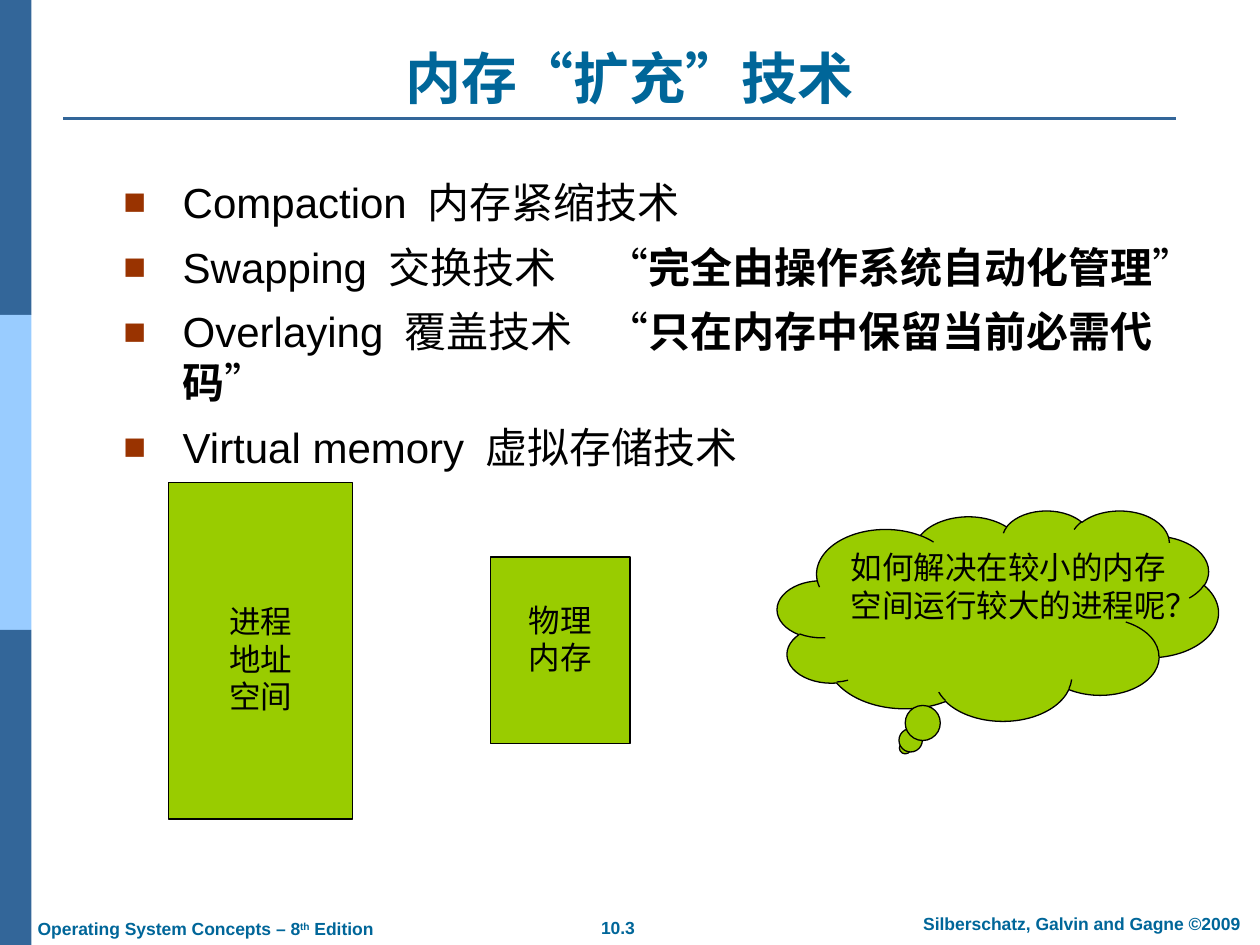
"""Build the slide on techniques for extending memory."""
from lxml.etree import SubElement
from pptx import Presentation
from pptx.dml.color import RGBColor
from pptx.enum.shapes import MSO_CONNECTOR, MSO_SHAPE
from pptx.enum.text import MSO_ANCHOR, MSO_AUTO_SIZE, PP_ALIGN
from pptx.oxml.ns import qn
from pptx.util import Inches, Pt

NAVY = RGBColor(0x33, 0x66, 0x99)
SKY = RGBColor(0x99, 0xCC, 0xFF)
TEAL = RGBColor(0x00, 0x66, 0x99)
LIME = RGBColor(0x99, 0xCC, 0x00)
RUST = RGBColor(0x99, 0x33, 0x00)
BLACK = RGBColor(0, 0, 0)
LATIN, CHINESE = "Arial", "Noto Sans CJK SC"


def add_run(paragraph, text, size, color=BLACK, name=CHINESE, bold=False):
    run = paragraph.add_run()
    run.text = text
    formats = {"size": Pt(size), "name": name, "bold": bold}
    for attribute, value in formats.items():
        setattr(run.font, attribute, value)
    run.font.color.rgb = color
    SubElement(run.font._element, qn("a:ea"), typeface=CHINESE)
    return run


def place(shape, left, top, width, height):
    bounds = {"left": left, "top": top, "width": width, "height": height}
    for attribute, value in bounds.items():
        setattr(shape, attribute, Inches(value))


presentation = Presentation()
presentation.slide_width = Inches(10)
presentation.slide_height = Inches(7.5)
slide = presentation.slides.add_slide(presentation.slide_layouts[1])
shapes = slide.shapes

for index, color in enumerate([NAVY, SKY, NAVY]):
    band = shapes.add_shape(MSO_SHAPE.RECTANGLE, 0, Inches(2.5 * index), Inches(0.25), Inches(2.5))
    band.shadow.inherit = False
    band.fill.solid()
    band.fill.fore_color.rgb = color
    band.line.fill.background()

title_rule = shapes.add_connector(
    MSO_CONNECTOR.STRAIGHT, Inches(0.5), Inches(0.94), Inches(9.33), Inches(0.94))
title_rule.line.color.rgb = NAVY
title_rule.line.width = Pt(1.5)
SubElement(title_rule._element.spPr, qn("a:effectLst"))

footers = [
    (4.62, 7.23, 0.57, PP_ALIGN.CENTER, ["10.3"]),
    (7.1, 7.2, 2.97, PP_ALIGN.CENTER, ["Silberschatz, Galvin and Gagne ©2009"]),
    (0.2, 7.24, 2.91, PP_ALIGN.LEFT, ["Operating System Concepts – 8", "th", " Edition"]),
]
for left, top, width, alignment, texts in footers:
    footer = shapes.add_textbox(Inches(left), Inches(top), Inches(width), Inches(0.27))
    paragraph = footer.text_frame.paragraphs[0]
    paragraph.alignment = alignment
    for text in texts:
        run = add_run(paragraph, text, 10, TEAL, LATIN, True)
        if text == "th":
            run.font._element.set("baseline", "30000")

title = shapes.title
place(title, 0.5, 0.3, 9, 0.63)
title.text_frame.auto_size = MSO_AUTO_SIZE.NONE
title.text_frame.vertical_anchor = MSO_ANCHOR.BOTTOM
paragraph = title.text_frame.paragraphs[0]
paragraph.alignment = PP_ALIGN.CENTER
paragraph.line_spacing = Pt(38)
add_run(paragraph, "内存“扩充”技术", 32, TEAL, CHINESE, True)

techniques = [
    ("Compaction", "内存紧缩技术", ""),
    ("Swapping", "交换技术", "完全由操作系统自动化管理"),
    ("Overlaying", "覆盖技术", "只在内存中保留当前必需代码"),
    ("Virtual memory", "虚拟存储技术", ""),
]
body = slide.placeholders[1]
place(body, 0.88, 1.35, 9, 4.95)
frame = body.text_frame
frame.auto_size = MSO_AUTO_SIZE.NONE
for index, (english, chinese, remark) in enumerate(techniques):
    paragraph = frame.add_paragraph() if index else frame.paragraphs[0]
    paragraph.line_spacing = Pt(28.7)
    paragraph.space_before = Pt(8.4 if index else 0)
    properties = paragraph._p.get_or_add_pPr()
    properties.set("marL", str(Inches(0.47)))
    properties.set("indent", str(-Inches(0.47)))
    bullet_color = SubElement(properties, qn("a:buClr"))
    SubElement(bullet_color, qn("a:srgbClr"), val=str(RUST))
    SubElement(properties, qn("a:buSzPct"), val="90000")
    SubElement(properties, qn("a:buFont"), typeface=LATIN)
    SubElement(properties, qn("a:buChar"), char="■")
    add_run(paragraph, english + " ", 24, name=LATIN)
    add_run(paragraph, " " + chinese, 24)
    if remark:
        tabs = SubElement(properties, qn("a:tabLst"))
        SubElement(tabs, qn("a:tab"), pos=str(Inches(3.83)), algn="l")
        add_run(paragraph, "\t“", 24)
        add_run(paragraph, remark, 24, name=LATIN, bold=True)
        add_run(paragraph, "”", 24)

figures = [
    (MSO_SHAPE.CLOUD_CALLOUT, 6.17, 4.05, 3.5, 1.67, 0.05, PP_ALIGN.LEFT,
     ["如何解决在较小的内存", "空间运行较大的进程呢？"]),
    (MSO_SHAPE.RECTANGLE, 1.34, 3.83, 1.46, 2.67, 0.95, PP_ALIGN.CENTER,
     ["进程", "地址", "空间"]),
    (MSO_SHAPE.RECTANGLE, 3.89, 4.42, 1.11, 1.48, 0.35, PP_ALIGN.CENTER,
     ["物理", "内存"]),
]
for kind, left, top, width, height, inset, alignment, lines in figures:
    shape = shapes.add_shape(kind, Inches(left), Inches(top), Inches(width), Inches(height))
    shape.shadow.inherit = False
    shape.fill.solid()
    shape.fill.fore_color.rgb = LIME
    shape.line.color.rgb = BLACK
    shape.line.width = Pt(0.75)
    if kind == MSO_SHAPE.CLOUD_CALLOUT:
        shape.adjustments[0] = -0.21
        shape.adjustments[1] = 0.63
    frame = shape.text_frame
    frame.word_wrap = False
    frame.vertical_anchor = MSO_ANCHOR.TOP
    frame.margin_top = Inches(inset)
    for index, line in enumerate(lines):
        paragraph = frame.add_paragraph() if index else frame.paragraphs[0]
        paragraph.alignment = alignment
        paragraph.line_spacing = Pt(21.5)
        add_run(paragraph, line, 18)

presentation.save("out.pptx")
